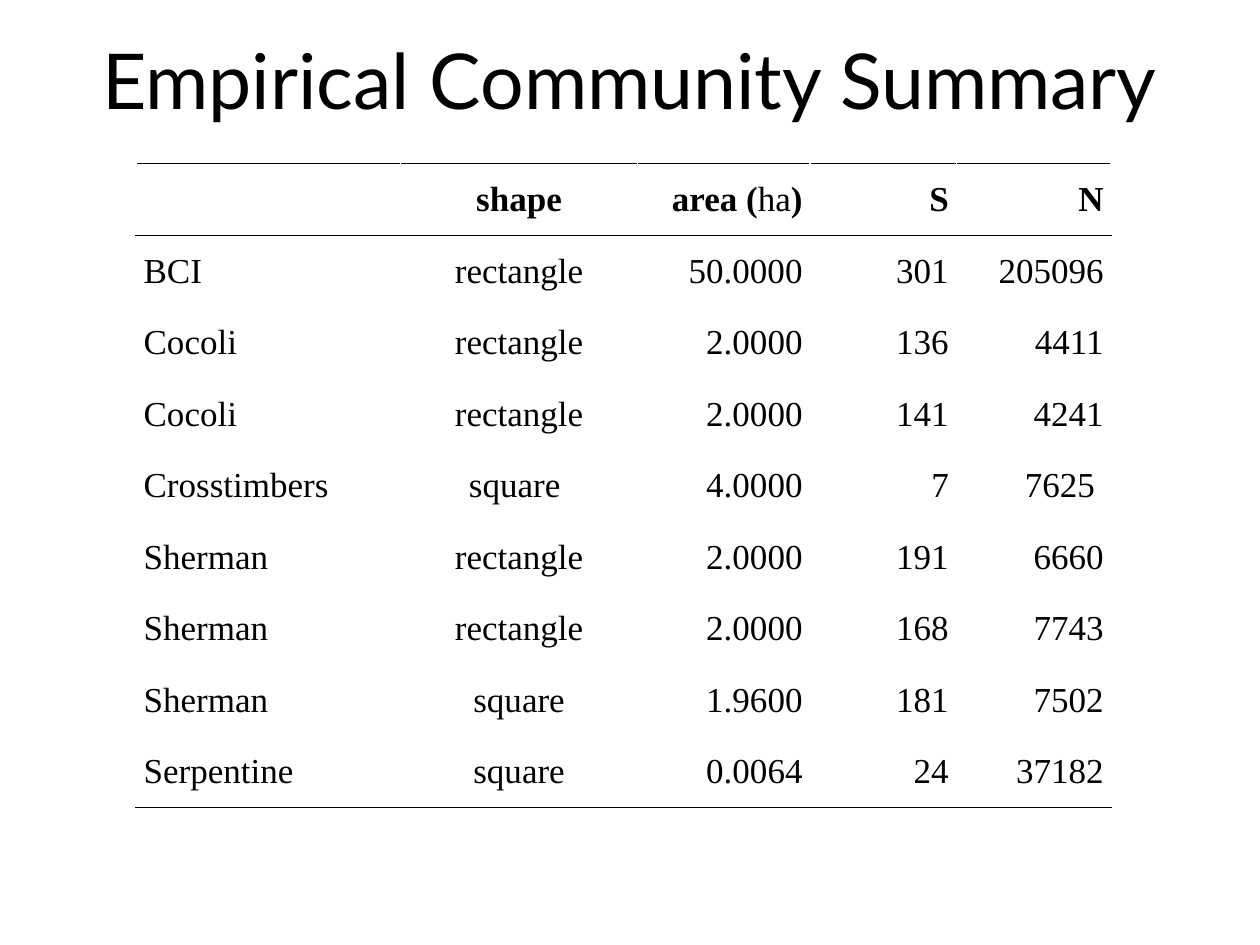
from lxml import etree
from pptx import Presentation
from pptx.dml.color import RGBColor
from pptx.enum.text import MSO_ANCHOR, PP_ALIGN
from pptx.oxml.ns import qn
from pptx.util import Inches, Pt

LEFT, CENTER, RIGHT = PP_ALIGN.LEFT, PP_ALIGN.CENTER, PP_ALIGN.RIGHT
MIDDLE = MSO_ANCHOR.MIDDLE
BLACK = RGBColor(0x00, 0x00, 0x00)
TITLE_FONT = "Lato"
TABLE_FONT = "Times New Roman"
RULE_WIDTH = Pt(0.45)

COLUMN_WIDTHS = [2.1, 1.88, 1.37, 1.16, 1.23]
COLUMN_ALIGNMENTS = [LEFT, CENTER, RIGHT, RIGHT, RIGHT]
ROW_HEIGHT = 0.568
HEADER = ["", "shape", "area (ha)", "S", "N"]
UNIT = "ha"
COMMUNITIES = [
    ["BCI", "rectangle", "50.0000", "301", "205096"],
    ["Cocoli", "rectangle", "2.0000", "136", "4411"],
    ["Cocoli", "rectangle", "2.0000", "141", "4241"],
    ["Crosstimbers", "square ", "4.0000", "7", "7625 "],
    ["Sherman", "rectangle", "2.0000", "191", "6660"],
    ["Sherman", "rectangle", "2.0000", "168", "7743"],
    ["Sherman", "square", "1.9600", "181", "7502"],
    ["Serpentine", "square", "0.0064", "24", "37182"],
]


def style_font(font, name, size):
    """Set the typeface, size and black colour of a font."""
    font.name = name
    font.size = Pt(size)
    font.color.rgb = BLACK


def add_title(slide, text):
    """Add the centred slide title."""
    shape = slide.shapes.add_textbox(Inches(0.5), 0, Inches(9), Inches(1.25))
    frame = shape.text_frame
    frame.word_wrap = True
    frame.vertical_anchor = MIDDLE
    paragraph = frame.paragraphs[0]
    paragraph.text = text
    paragraph.alignment = CENTER
    style_font(paragraph.font, TITLE_FONT, 44)


def add_rule(cell, side):
    """Draw a thin black border on the side named by its XML tag."""
    properties = cell._tc.get_or_add_tcPr()
    line = etree.SubElement(properties, qn(side), w=str(int(RULE_WIDTH)))
    fill = etree.SubElement(line, qn("a:solidFill"))
    etree.SubElement(fill, qn("a:srgbClr"), val=str(BLACK))


def fill_cell(cell, text, alignment, is_header):
    """Write a cell's text, with the unit in the header in regular weight."""
    cell.fill.background()
    cell.vertical_anchor = MIDDLE
    cell.margin_left = cell.margin_right = Inches(0.06)
    cell.margin_top = cell.margin_bottom = Inches(0.05)
    paragraph = cell.text_frame.paragraphs[0]
    paragraph.alignment = alignment
    style_font(paragraph.font, TABLE_FONT, 20)
    paragraph.font.bold = is_header
    before, unit, after = text.partition(UNIT) if "(" in text else (text, "", "")
    for part in filter(None, (before, unit, after)):
        run = paragraph.add_run()
        run.text = part
        if part == unit:
            run.font.bold = False


def add_summary_table(slide):
    """Add the community table ruled above and below its header and at its foot."""
    rows = [HEADER] + COMMUNITIES
    last_row = len(rows) - 1
    table = slide.shapes.add_table(
        len(rows), len(HEADER), Inches(1.08), Inches(1.3),
        Inches(sum(COLUMN_WIDTHS)), Inches(ROW_HEIGHT * len(rows))).table
    table.first_row = table.horz_banding = False
    for column, width in zip(table.columns, COLUMN_WIDTHS):
        column.width = Inches(width)
    for row_index, values in enumerate(rows):
        table.rows[row_index].height = Inches(ROW_HEIGHT)
        for column_index, text in enumerate(values):
            cell = table.cell(row_index, column_index)
            if row_index in (0, 1):
                add_rule(cell, "a:lnT")
            if row_index in (0, last_row):
                add_rule(cell, "a:lnB")
            fill_cell(cell, text, COLUMN_ALIGNMENTS[column_index], row_index == 0)


def main():
    """Build the slide and save it."""
    presentation = Presentation()
    presentation.slide_width = Inches(10)
    presentation.slide_height = Inches(7.5)
    slide = presentation.slides.add_slide(presentation.slide_layouts[6])
    add_title(slide, "Empirical Community Summary")
    add_summary_table(slide)
    presentation.save("out.pptx")


if __name__ == "__main__":
    main()
